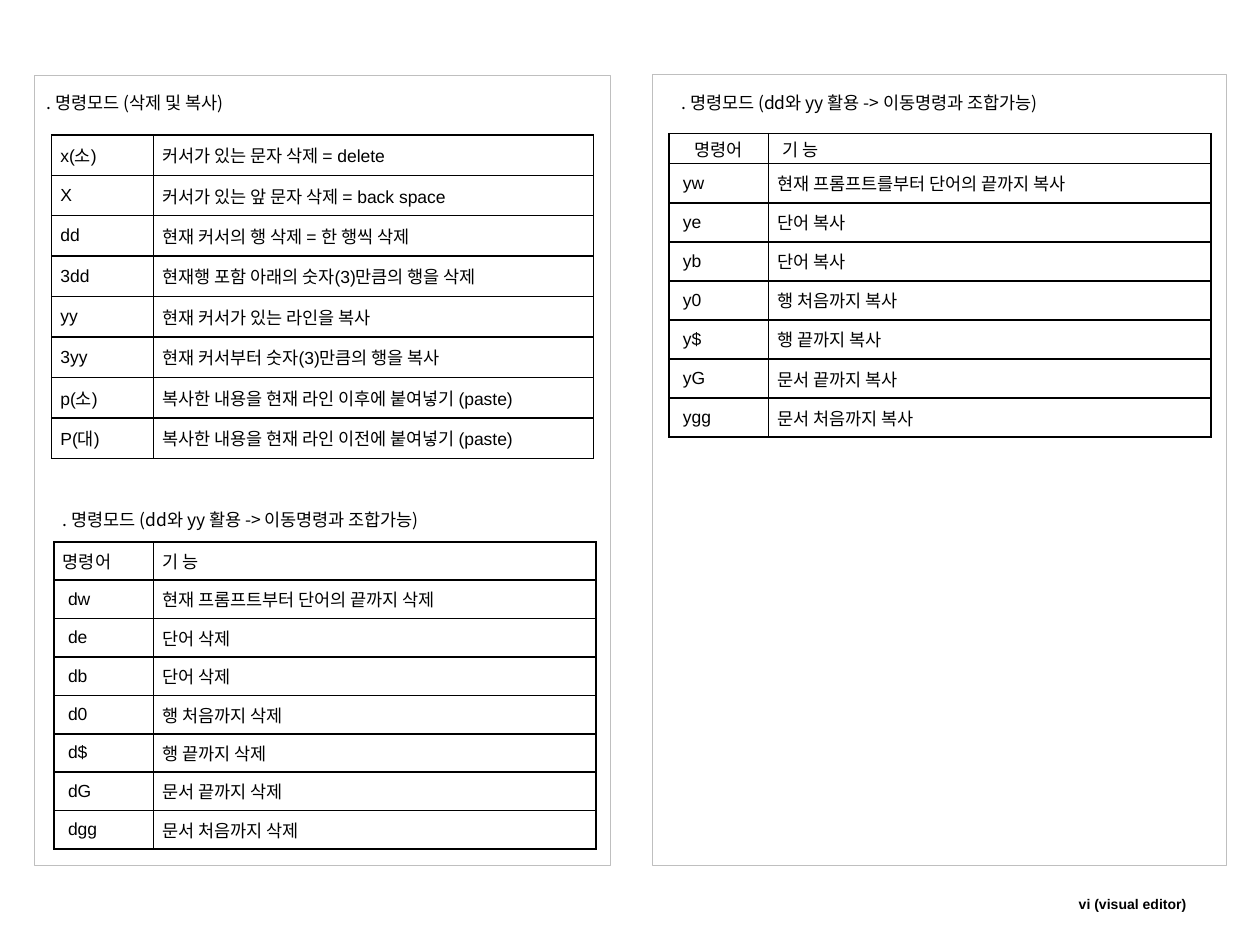
from dataclasses import dataclass

from lxml import etree
from pptx import Presentation
from pptx.dml.color import RGBColor
from pptx.enum.shapes import MSO_SHAPE
from pptx.enum.text import MSO_ANCHOR, MSO_AUTO_SIZE, PP_ALIGN
from pptx.oxml.ns import qn
from pptx.util import Inches, Pt

RECTANGLE = MSO_SHAPE.RECTANGLE
TOP, MIDDLE = MSO_ANCHOR.TOP, MSO_ANCHOR.MIDDLE
FIT_SHAPE = MSO_AUTO_SIZE.SHAPE_TO_FIT_TEXT
LEFT, CENTER, JUSTIFY = PP_ALIGN.LEFT, PP_ALIGN.CENTER, PP_ALIGN.JUSTIFY

BLACK = RGBColor(0x00, 0x00, 0x00)
FRAME_GRAY = RGBColor(0xBF, 0xBF, 0xBF)
LATIN_FONT = "Arial"
KOREAN_FONT = "Noto Sans CJK KR"
TABLE_WIDTH = 4.3
CELL_INSET = 0.07
KEY_INDENT = 0.04

COMBINED_CAPTION = ". 명령모드 (dd와 yy 활용 -> 이동명령과 조합가능)"
HEADER = ("명령어", "기 능")
EDIT_COMMANDS = [
    ("x(소)", "커서가 있는 문자 삭제 = delete"),
    ("X", "커서가 있는 앞 문자 삭제 = back space"),
    ("dd", "현재 커서의 행 삭제 = 한 행씩 삭제"),
    ("3dd", "현재행 포함 아래의 숫자(3)만큼의 행을 삭제"),
    ("yy", "현재 커서가 있는 라인을 복사"),
    ("3yy", "현재 커서부터 숫자(3)만큼의 행을 복사"),
    ("p(소)", "복사한 내용을 현재 라인 이후에 붙여넣기 (paste)"),
    ("P(대)", "복사한 내용을 현재 라인 이전에 붙여넣기 (paste)"),
]
DELETE_COMMANDS = [
    ("dw", "현재 프롬프트부터 단어의 끝까지 삭제"),
    ("de", "단어 삭제"),
    ("db", "단어 삭제"),
    ("d0", "행 처음까지 삭제"),
    ("d$", "행 끝까지 삭제"),
    ("dG", "문서 끝까지 삭제"),
    ("dgg", "문서 처음까지 삭제"),
]
COPY_COMMANDS = [
    ("yw", "현재 프롬프트를부터 단어의 끝까지 복사"),
    ("ye", "단어 복사"),
    ("yb", "단어 복사"),
    ("y0", "행 처음까지 복사"),
    ("y$", "행 끝까지 복사"),
    ("yG", "문서 끝까지 복사"),
    ("ygg", "문서 처음까지 복사"),
]


@dataclass
class Box:
    """A rectangle on the slide, in inches."""

    left: float
    top: float
    width: float
    height: float

    def inside(self, dx, dy, width, height):
        """Return a box offset from this one's top left corner."""
        return Box(self.left + dx, self.top + dy, width, height)

    def emu(self):
        """Return the four lengths for python-pptx."""
        return [Inches(n) for n in (self.left, self.top, self.width, self.height)]


def write(frame, text, size=10, font=LATIN_FONT, align=LEFT, bold=False):
    """Write one run into the first paragraph of a text frame."""
    paragraph = frame.paragraphs[0]
    paragraph.alignment = align
    run = paragraph.add_run()
    run.text = text
    run.font.size = Pt(size)
    run.font.bold = bold
    run.font.color.rgb = BLACK
    run.font.name = font
    etree.SubElement(run.font._element, qn("a:ea"), typeface=KOREAN_FONT)


def add_caption(slide, box, text, is_title=False):
    """Place a section caption, in the title placeholder when it leads the slide."""
    if is_title:
        caption = slide.shapes.title
        caption.left, caption.top, caption.width, caption.height = box.emu()
    else:
        caption = slide.shapes.add_textbox(*box.emu())
    frame = caption.text_frame
    frame.word_wrap = False
    frame.auto_size = FIT_SHAPE
    frame.vertical_anchor = TOP
    write(frame, text, font=KOREAN_FONT)


def add_borders(cell):
    """Draw a thin black line on each side of a cell."""
    properties = cell._tc.get_or_add_tcPr()
    for index, side in enumerate(("a:lnL", "a:lnR", "a:lnT", "a:lnB")):
        line = etree.Element(qn(side), w=str(Pt(1)))
        fill = etree.SubElement(line, qn("a:solidFill"))
        etree.SubElement(fill, qn("a:srgbClr"), val=str(BLACK))
        properties.insert(index, line)


def add_command_table(slide, box, rows, key_width, header_height=None,
                      has_header=True, header_align=JUSTIFY, key_align=JUSTIFY):
    """Place a two-column table of commands and what they do."""
    rows = [HEADER, *rows] if has_header else rows
    table = slide.shapes.add_table(len(rows), 2, *box.emu()).table
    table.first_row = table.horz_banding = False
    table.columns[0].width = Inches(key_width)
    table.columns[1].width = Inches(box.width - key_width)
    first_height = header_height or box.height / len(rows)
    row_height = (box.height - first_height) / (len(rows) - 1)
    for r, row in enumerate(rows):
        is_header = has_header and r == 0
        table.rows[r].height = Inches(first_height if is_header else row_height)
        for c, text in enumerate(row):
            cell = table.cell(r, c)
            is_key = c == 0 and has_header and not is_header
            is_offset = is_key or (c == 1 and is_header and header_align == CENTER)
            cell.margin_left = Inches(CELL_INSET + KEY_INDENT * is_offset)
            cell.margin_right = Inches(CELL_INSET)
            cell.margin_top = cell.margin_bottom = 0
            cell.vertical_anchor = MIDDLE
            cell.fill.background()
            add_borders(cell)
            align = JUSTIFY if c else header_align if is_header else key_align
            write(cell.text_frame, text, align=align)


def add_frame(slide, box):
    """Draw the thin gray outline of a panel."""
    frame = slide.shapes.add_shape(RECTANGLE, *box.emu())
    frame.shadow.inherit = False
    frame.fill.background()
    frame.line.color.rgb = FRAME_GRAY
    frame.line.width = Pt(0.25)


def add_delete_panel(slide, box):
    """Fill the left panel with the editing and deleting commands."""
    add_frame(slide, box)
    add_caption(slide, box.inside(0, 0.08, 1.83, 0.27),
                ". 명령모드 (삭제 및 복사)", is_title=True)
    add_command_table(slide, box.inside(0.14, 0.47, TABLE_WIDTH, 2.57),
                      EDIT_COMMANDS, 0.81, has_header=False)
    add_caption(slide, box.inside(0.13, 3.39, 3.42, 0.27), COMBINED_CAPTION)
    add_command_table(slide, box.inside(0.16, 3.7, TABLE_WIDTH, 2.44),
                      DELETE_COMMANDS, 0.79)


def add_copy_panel(slide, box):
    """Fill the right panel with the copying commands."""
    add_frame(slide, box)
    add_caption(slide, box.inside(0.13, 0.09, 3.38, 0.27), COMBINED_CAPTION)
    add_command_table(slide, box.inside(0.13, 0.47, TABLE_WIDTH, 2.41),
                      COPY_COMMANDS, 0.79, header_height=0.24,
                      header_align=CENTER, key_align=LEFT)


def add_footer(slide, box):
    """Place the chapter name at the bottom right."""
    frame = slide.shapes.add_textbox(*box.emu()).text_frame
    frame.word_wrap = True
    frame.auto_size = FIT_SHAPE
    write(frame, "vi (visual editor)", size=8, align=CENTER, bold=True)


def main():
    """Build the slide and save it."""
    presentation = Presentation()
    presentation.slide_width, presentation.slide_height = Inches(10), Inches(7.5)
    slide = presentation.slides.add_slide(
        presentation.slide_layouts.get_by_name("Title Only"))
    add_delete_panel(slide, Box(0.27, 0.6, 4.57, 6.27))
    add_copy_panel(slide, Box(5.18, 0.59, 4.55, 6.28))
    add_footer(slide, Box(8.46, 7.06, 1.06, 0.24))
    presentation.save("out.pptx")


if __name__ == "__main__":
    main()
